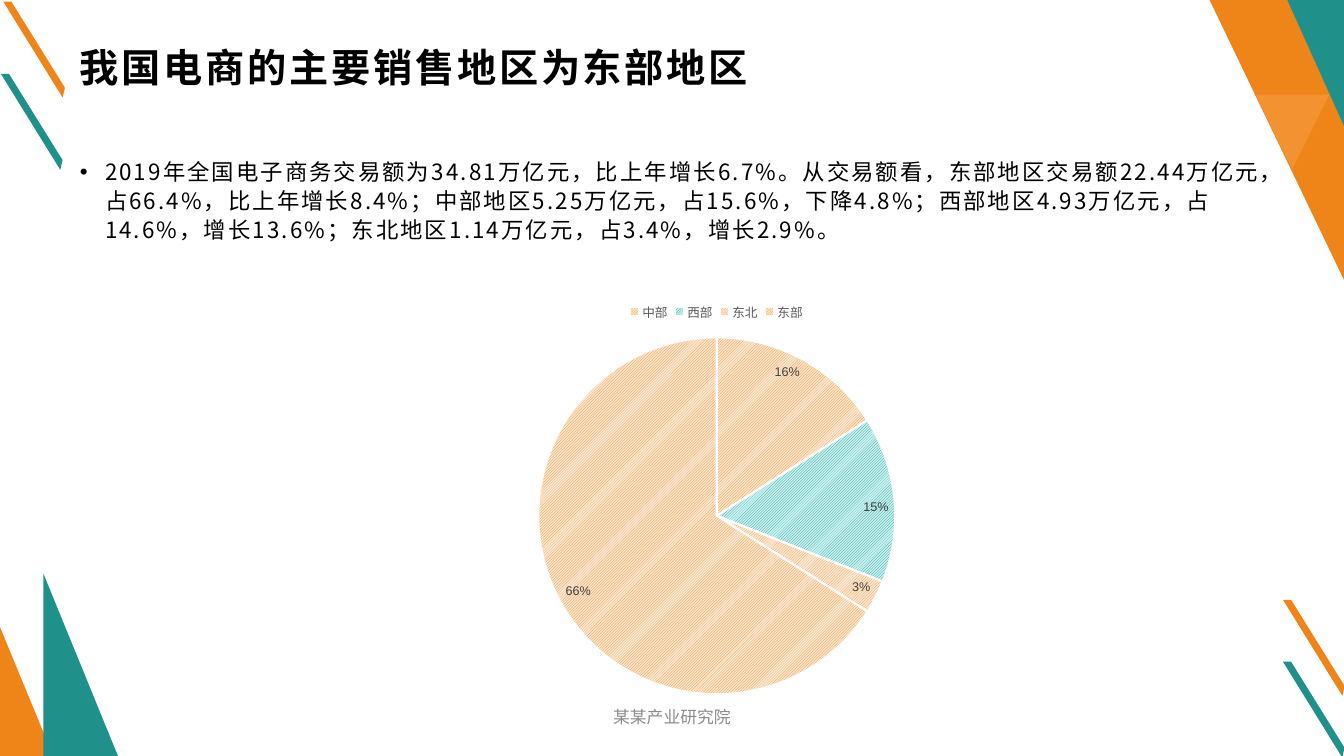
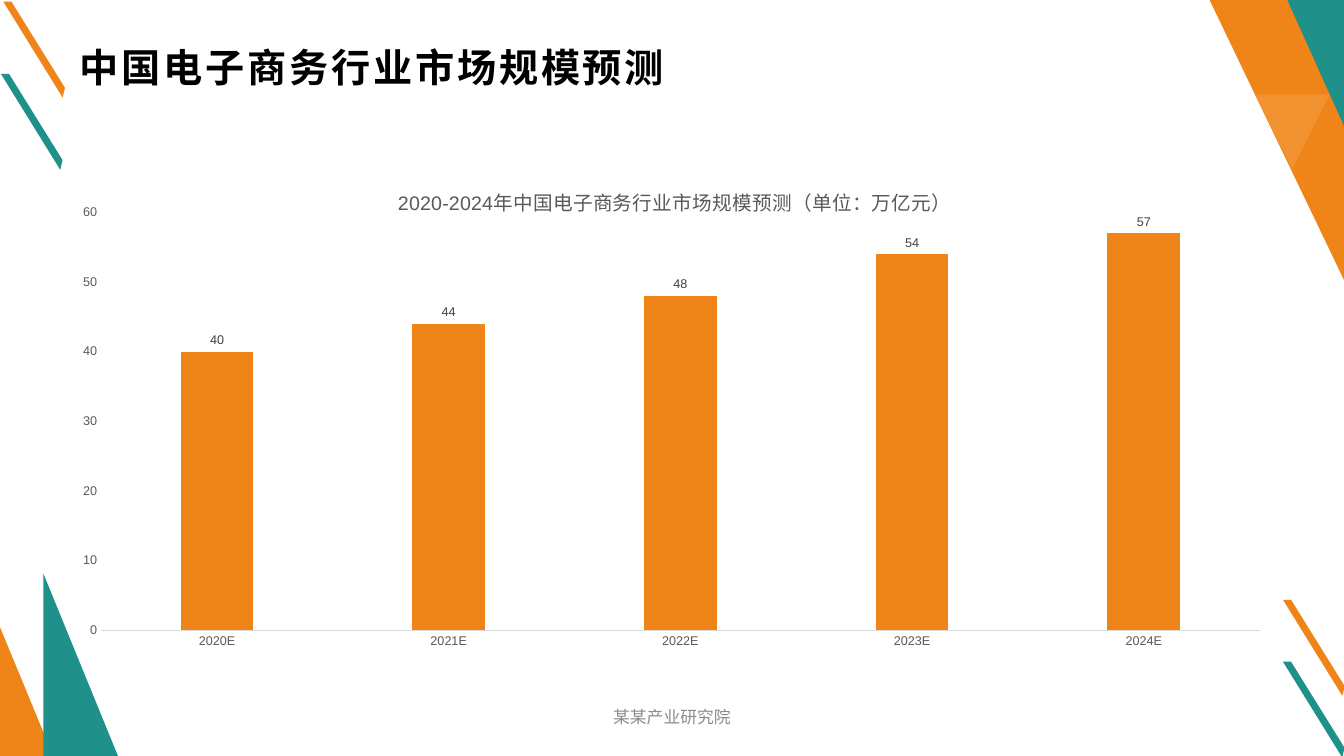
from dataclasses import dataclass

from pptx import Presentation
from pptx.chart.data import CategoryChartData as Data
from pptx.dml.color import RGBColor as RGB
from pptx.enum.chart import XL_CHART_TYPE as Kind
from pptx.enum.chart import XL_LABEL_POSITION as Spot
from pptx.enum.chart import XL_LEGEND_POSITION as Side
from pptx.enum.chart import XL_TICK_MARK as Tick
from pptx.enum.dml import MSO_PATTERN as Hatch
from pptx.enum.shapes import MSO_SHAPE as Form
from pptx.enum.text import MSO_ANCHOR as Anchor
from pptx.enum.text import MSO_AUTO_SIZE as Fit
from pptx.enum.text import PP_ALIGN as Align
from pptx.oxml import parse_xml
from pptx.oxml.ns import nsdecls
from pptx.util import Pt


@dataclass(frozen=True)
class Theme:
    orange: str = "EF8519"
    teal: str = "20908A"
    light: str = "F39231"
    black: str = "000000"
    white: str = "FFFFFF"
    grey: str = "8C8C8C"
    axis: str = "595959"
    label: str = "404040"
    rule: str = "D9D9D9"
    font: str = "Noto Sans CJK SC"
    plain: str = "Arial"
    head: float = 28
    body: float = 16
    foot: float = 12
    title: float = 14
    chart: float = 10
    small: float = 9


STRIPE = [(0, 0), (5.8, 0), (44, 61.5), (42.4, 68.5)]
FOOTER = "某某产业研究院"


class Deck:
    """Holds the theme, the presentation and the current slide."""

    def __init__(self, theme):
        self.theme = theme
        self.deck = Presentation()
        self.deck.slide_width, self.deck.slide_height = Pt(960), Pt(540)
        self.slide = None

    def start(self, text):
        """Open a slide with its decoration and title."""
        t = self.theme
        self.slide = self.deck.slides.add_slide(self.deck.slide_layouts[5])
        self.decor()
        title = self.slide.shapes.title
        title.element.getparent().append(title.element)
        frame = self.place(title, (49, 31.7, 862, 67.7), (8, 3, 6, 3))
        para = frame.paragraphs[0]
        para.alignment, para.line_spacing = Align.LEFT, 0.9
        self.run(para, text, t.head, t.black, t.font, True, 2)

    def decor(self):
        t = self.theme
        stripes = [(916.5, 428.5, t.orange), (0.7, 52.8, t.teal),
                   (2.4, 1.2, t.orange), (916.4, 472.6, t.teal)]
        for x, y, color in stripes:
            self.outline([(x + dx, y + dy) for dx, dy in STRIPE], color)
        self.outline([(864, 0), (960, 0), (960, 200)], t.orange)
        self.outline([(919.5, 0), (960, 0), (960, 90)], t.teal)
        self.outline([(949.5, 67.7), (923, 121), (896.5, 67.7)], t.light)
        self.peak(0, 448, 38, t.orange)
        self.peak(31, 409.7, 53.3, t.teal)

    def paint(self, shape, color):
        shape.shadow.inherit = False
        shape.fill.solid()
        shape.fill.fore_color.rgb = RGB.from_string(color)
        shape.line.fill.background()

    def outline(self, points, color):
        first, *rest = [(Pt(x), Pt(y)) for x, y in points]
        path = self.slide.shapes.build_freeform(*first)
        path.add_line_segments(rest, close=True)
        self.paint(path.convert_to_shape(), color)

    def peak(self, x, y, w, color):
        """Add a right-angled triangle standing on the slide's lower edge."""
        shape = self.slide.shapes.add_shape(
            Form.ISOSCELES_TRIANGLE, Pt(x), Pt(y), Pt(w), Pt(540 - y))
        shape.adjustments[0] = 0
        self.paint(shape, color)

    def place(self, shape, box, inset, anchor=Anchor.TOP):
        """Set the box, insets and anchor, and return the text frame."""
        shape.left, shape.top, shape.width, shape.height = map(Pt, box)
        frame = shape.text_frame
        frame.word_wrap, frame.auto_size = True, Fit.NONE
        frame.vertical_anchor = anchor
        (frame.margin_left, frame.margin_top,
         frame.margin_right, frame.margin_bottom) = map(Pt, inset)
        return frame

    def text(self, box, inset, anchor=Anchor.TOP):
        shape = self.slide.shapes.add_textbox(*map(Pt, box))
        return self.place(shape, box, inset, anchor).paragraphs[0]

    def style(self, font, size, color, name=None, bold=False):
        font.size, font.bold = Pt(size), bold
        font.color.rgb = RGB.from_string(color)
        font.name = name or self.theme.plain

    def run(self, para, text, size, color, name, bold=False, gap=0):
        """Add a run; gap is the letter spacing in points."""
        run = para.add_run()
        run.text = text
        self.style(run.font, size, color, name, bold)
        props = run.font._element
        props.set("spc", str(int(gap * 100)))
        props.append(parse_xml(
            f'<a:ea {nsdecls("a")} typeface="{self.theme.font}"/>'))

    def bullet(self, text):
        t = self.theme
        para = self.text((49, 111.6, 862, 80), (8, 0, 6.5, 0))
        props = para._p.get_or_add_pPr()
        props.set("marL", str(Pt(18)))
        props.set("indent", str(Pt(-18)))
        props.append(parse_xml(
            f'<a:buFont {nsdecls("a")} typeface="{t.plain}"/>'))
        props.append(parse_xml(f'<a:buChar {nsdecls("a")} char="•"/>'))
        para.line_spacing = 1.08
        self.run(para, text, t.body, t.black, t.font, gap=1.5)

    def footer(self):
        t = self.theme
        para = self.text((324, 499.7, 312, 25), (7.2, 3.6, 7.2, 3.6),
                         Anchor.MIDDLE)
        para.alignment = Align.CENTER
        self.run(para, FOOTER, t.foot, t.grey, t.plain)

    def graph(self, kind, box, cats, vals, area, fmt="General"):
        """Add a one-series chart; area is the inner plot in fractions."""
        t = self.theme
        data = Data(number_format=fmt)
        data.categories = cats
        data.add_series("Series 1", vals)
        chart = self.slide.shapes.add_chart(
            kind, *map(Pt, box), data).chart
        self.style(chart.font, t.chart, t.black)
        chart.has_title = chart.has_legend = False
        root = chart.element.xpath("c:chart")[0]
        root.addnext(parse_xml(
            f'<c:spPr {nsdecls("c", "a")}><a:noFill/>'
            '<a:ln><a:noFill/></a:ln></c:spPr>'))
        plot = root.xpath("c:plotArea")[0]
        for old in plot.xpath("c:layout"):
            plot.remove(old)
        plot.insert(0, self.layout(inner=True, **dict(zip("xywh", area))))
        return chart

    def layout(self, inner=False, **parts):
        """Build a manual chart layout from fractions of the chart."""
        target = '<c:layoutTarget val="inner"/>' if inner else ""
        modes = "".join(f'<c:{k}Mode val="edge"/>' for k in "xy")
        sizes = "".join(f'<c:{k} val="{v}"/>' for k, v in parts.items())
        return parse_xml(
            f'<c:layout {nsdecls("c")}><c:manualLayout>{target}{modes}'
            f'{sizes}</c:manualLayout></c:layout>')

    def labels(self, chart, spot, fmt):
        plot = chart.plots[0]
        plot.has_data_labels = True
        labels = plot.data_labels
        labels.show_value, labels.show_percentage = True, False
        labels.position = spot
        labels.number_format, labels.number_format_is_linked = fmt, False
        self.style(labels.font, self.theme.small, self.theme.label)

    def pie(self, box, cats, vals, tints):
        """Add a hatched pie; tints holds (line, ground) colour pairs."""
        t = self.theme
        chart = self.graph(Kind.PIE, box, cats, vals,
                           (0.18, 0.11, 0.64, 0.85), "0%")
        chart.has_legend = True
        chart.legend.position = Side.TOP
        chart.legend.include_in_layout = False
        self.style(chart.legend.font, t.small, t.axis)
        self.labels(chart, Spot.INSIDE_END, "0%")
        for i, (front, back) in enumerate(tints):
            look = chart.plots[0].series[0].points[i].format
            look.fill.patterned()
            look.fill.pattern = Hatch.LIGHT_UPWARD_DIAGONAL
            look.fill.fore_color.rgb = RGB.from_string(front)
            look.fill.back_color.rgb = RGB.from_string(back)
            look.line.color.rgb = RGB.from_string(t.white)
            look.line.width = Pt(1.5)

    def columns(self, box, title, cats, vals):
        t = self.theme
        chart = self.graph(Kind.COLUMN_CLUSTERED, box, cats, vals,
                           (0.027, 0.097, 0.96, 0.775))
        chart.has_title = True
        run = chart.chart_title.text_frame.paragraphs[0].add_run()
        run.text = title
        self.style(run.font, t.title, t.axis)
        head = chart.chart_title._element
        for old in head.xpath("c:layout"):
            head.remove(old)
        head.xpath("c:tx")[0].addnext(self.layout(x=0.27, y=0.04))
        plot = chart.plots[0]
        plot.gap_width, plot.overlap = 219, -27
        plot.vary_by_categories = False
        fill = plot.series[0].format.fill
        fill.solid()
        fill.fore_color.rgb = RGB.from_string(t.orange)
        self.labels(chart, Spot.OUTSIDE_END, "General")
        for axis in (chart.category_axis, chart.value_axis):
            axis.major_tick_mark = axis.minor_tick_mark = Tick.NONE
            axis.has_major_gridlines = False
            self.style(axis.tick_labels.font, t.small, t.axis)
        line = chart.category_axis.format.line
        line.color.rgb, line.width = RGB.from_string(t.rule), Pt(0.75)
        scale = chart.value_axis
        scale.minimum_scale, scale.maximum_scale = 0, 60
        scale.major_unit = 10
        scale.format.line.fill.background()


def main():
    theme = Theme()
    deck = Deck(theme)

    deck.start("我国电商的主要销售地区为东部地区")
    deck.bullet(
        "2019年全国电子商务交易额为34.81万亿元，比上年增长6.7%。"
        "从交易额看，东部地区交易额22.44万亿元，占66.4%，比上年增长8.4%；"
        "中部地区5.25万亿元，占15.6%，下降4.8%；"
        "西部地区4.93万亿元，占14.6%，增长13.6%；"
        "东北地区1.14万亿元，占3.4%，增长2.9%。")
    deck.footer()
    warm = (theme.orange, "FCE7D1")
    deck.pie((312, 208, 400, 300), ["中部", "西部", "东北", "东部"],
             [0.16, 0.15, 0.03, 0.66],
             [warm, (theme.teal, "C8F3F1"), (theme.light, "FDE9D6"), warm])

    deck.start("中国电子商务行业市场规模预测")
    deck.footer()
    deck.columns((49, 114.5, 862, 385),
                 "2020-2024年中国电子商务行业市场规模预测（单位：万亿元）",
                 [f"{year}E" for year in range(2020, 2025)],
                 [40, 44, 48, 54, 57])

    deck.deck.save("out.pptx")


if __name__ == "__main__":
    main()
